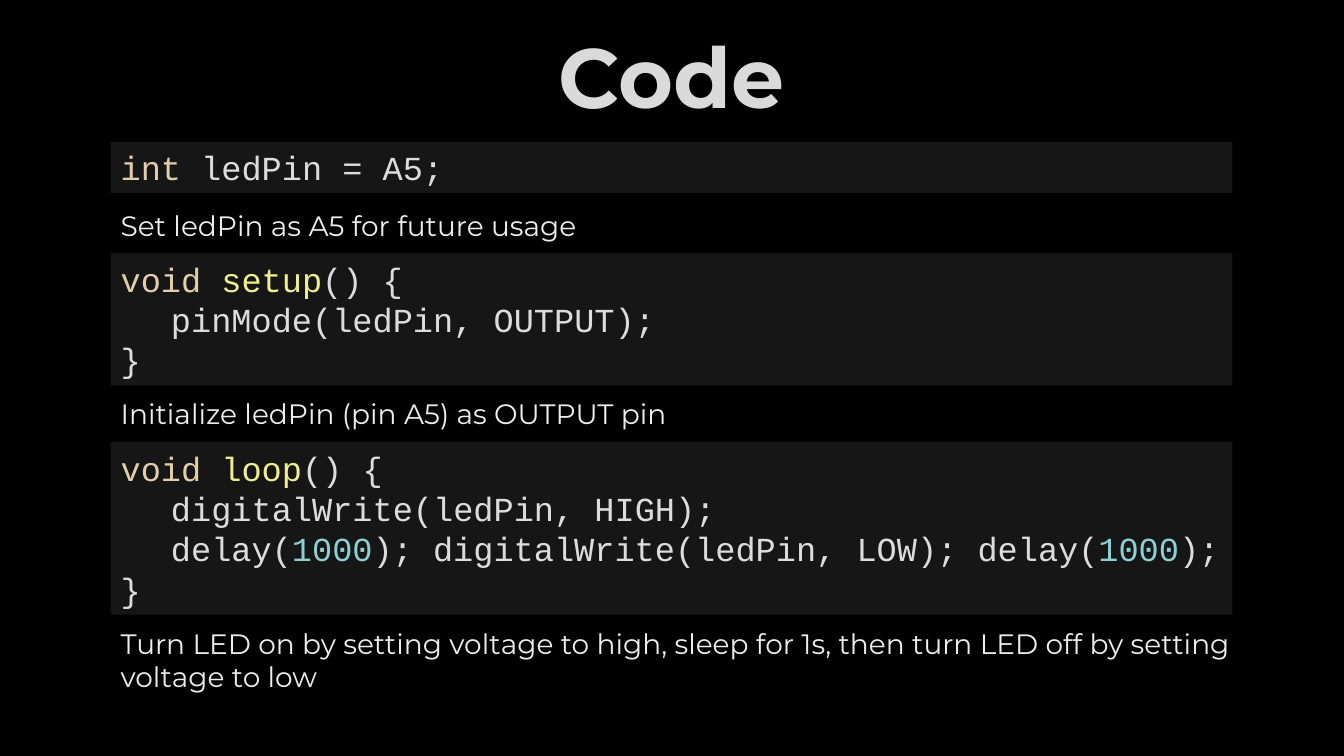
from lxml import etree
from pptx import Presentation
from pptx.dml.color import RGBColor
from pptx.enum.shapes import MSO_SHAPE
from pptx.enum.text import MSO_ANCHOR, MSO_AUTO_SIZE, PP_ALIGN
from pptx.oxml.ns import qn
from pptx.util import Cm, Pt

RECTANGLE = MSO_SHAPE.RECTANGLE
TOP, MIDDLE = MSO_ANCHOR.TOP, MSO_ANCHOR.MIDDLE
NO_FIT = MSO_AUTO_SIZE.NONE
LEFT, CENTER = PP_ALIGN.LEFT, PP_ALIGN.CENTER

COLORS = {
    "background": "000000",
    "panel": "161616",
    "title": "DADADA",
    "caption": "EEEEEE",
    "plain": "DCDCDC",
    "keyword": "E3CEAB",
    "function": "EFEF8F",
    "number": "8CD0D3",
}
TEXT_FONT = "Montserrat"
CODE_FONT = "Courier New"
MARGIN = Cm(2.79)
PANEL_WIDTH = Cm(28.27)
TAB_WIDTH = Cm(1.27)

PIN_CODE = [[("int ", "keyword"), ("ledPin = A5;", "plain")]]
SETUP_CODE = [
    [("void ", "keyword"), ("setup", "function"), ("() {", "plain")],
    [("\tpinMode(ledPin, OUTPUT);", "plain")],
    [("}", "plain")],
]
LOOP_CODE = [
    [("void ", "keyword"), ("loop", "function"), ("() {", "plain")],
    [("\tdigitalWrite(ledPin, HIGH);", "plain")],
    [("\tdelay(", "plain"), ("1000", "number"),
     ("); digitalWrite(ledPin, LOW); delay(", "plain"),
     ("1000", "number"), (");", "plain")],
    [("}", "plain")],
]


def rgb(name):
    return RGBColor.from_string(COLORS[name])


def add_tab_stop(para):
    stops = etree.SubElement(para._p.get_or_add_pPr(), qn("a:tabLst"))
    etree.SubElement(stops, qn("a:tab"), pos=str(TAB_WIDTH), algn="l")


def write_text(box, lines, font, size, bold=False, align=LEFT,
               anchor=TOP, wrap=True, tabs=False):
    frame = box.text_frame
    frame.word_wrap = wrap
    frame.auto_size = NO_FIT
    frame.vertical_anchor = anchor
    for index, line in enumerate(lines):
        para = frame.add_paragraph() if index else frame.paragraphs[0]
        para.alignment = align
        if tabs:
            add_tab_stop(para)
        for text, color in line:
            span = para.add_run()
            span.text = text
            span.font.name = font
            span.font.size = Pt(size)
            span.font.bold = bold
            span.font.color.rgb = rgb(color)


def place_title(page, text):
    title = page.shapes.title
    title.left, title.top = Cm(13.79), Cm(0.48)
    title.width, title.height = Cm(6.27), Cm(2.82)
    write_text(title, [[(text, "title")]], TEXT_FONT, 60, bold=True,
               align=CENTER, wrap=False)


def add_code(page, top, height, lines):
    panel = page.shapes.add_shape(RECTANGLE, MARGIN, Cm(top),
                                  PANEL_WIDTH, Cm(height))
    panel.shadow.inherit = False
    panel.fill.solid()
    panel.fill.fore_color.rgb = rgb("panel")
    panel.line.fill.background()
    write_text(panel, lines, CODE_FONT, 24, anchor=MIDDLE, tabs=True)


def add_caption(page, top, width, height, text, wrap=False):
    box = page.shapes.add_textbox(MARGIN, Cm(top), Cm(width), Cm(height))
    write_text(box, [[(text, "caption")]], TEXT_FONT, 20, wrap=wrap)


def main():
    deck = Presentation()
    deck.slide_width, deck.slide_height = Cm(33.87), Cm(19.05)
    page = deck.slides.add_slide(deck.slide_layouts[5])
    page.background.fill.solid()
    page.background.fill.fore_color.rgb = rgb("background")

    place_title(page, "Code")
    add_code(page, 3.58, 1.28, PIN_CODE)
    add_caption(page, 5.13, 12.14, 1.11, "Set ledPin as A5 for future usage")
    add_code(page, 6.38, 3.33, SETUP_CODE)
    add_caption(page, 9.86, 14.55, 1.11,
                "Initialize ledPin (pin A5) as OUTPUT pin")
    add_code(page, 11.13, 4.36, LOOP_CODE)
    add_caption(page, 15.65, 28.68, 1.96,
                "Turn LED on by setting voltage to high, sleep for 1s, "
                "then turn LED off by setting voltage to low", wrap=True)
    deck.save("out.pptx")


if __name__ == "__main__":
    main()
